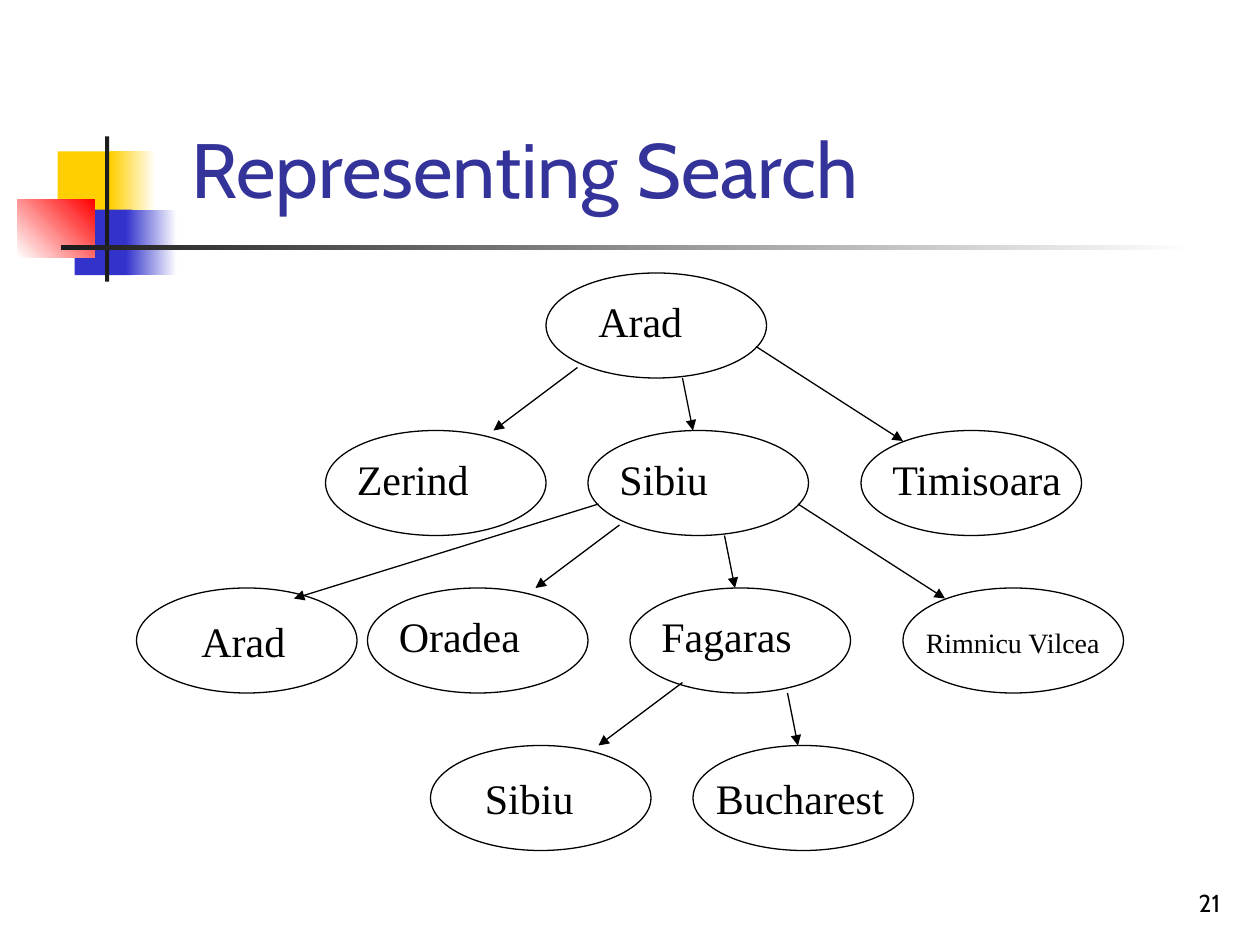
from lxml.etree import SubElement
from pptx import Presentation
from pptx.dml.color import RGBColor as Rgb
from pptx.enum.shapes import MSO_CONNECTOR as Conn, MSO_SHAPE as Kind
from pptx.enum.text import MSO_ANCHOR as Anchor, MSO_AUTO_SIZE as Auto, PP_ALIGN as Align
from pptx.oxml.ns import qn
from pptx.util import Pt

COLORS = {
    "gold": "FFCF01", "blue": "3333CC", "red": "FF0000", "dark": "1C1C1C",
    "title": "333399", "white": "FFFFFF", "black": "000000",
}
SERIF, SANS = "Times New Roman", "Cabin"
NODE_W, NODE_H, STEP = 126, 60, 90

BLOCKS = [
    (23, 8.5, 35, 37.5, "gold", None, 0),
    (53, 8.5, 26, 37.5, "gold", "white", 0),
    (32.6, 41.8, 33, 37.4, "blue", None, 0),
    (62, 41.8, 29, 37.4, "blue", "white", 0),
    (0, 36, 44, 33, "white", "red", 45),
    (50, 0, 2.4, 83, "dark", None, 0),
    (25, 62.2, 648, 2.4, "dark", "white", 0),
]

LEFT, MID = (18, 54, -30, 90), (78, 60, 84, 90)
RIGHT, FAR = (120, 42, 204, 96), (6, 42, -168, 96)

LEVELS = [
    ([(312, "Arad", 22.8, 9.6, 63, 24)], 0, []),
    ([(186, "Zerind", 10.8, 9.4, 79, 24),
      (336, "Sibiu", 10.8, 9.4, 65, 24),
      (492, "Timisoara", 10.8, 9.4, 112, 24)], 312, [LEFT, MID, RIGHT]),
    ([(78, "Arad", 30, 12, 63, 24),
      (210, "Oradea", 10.8, 9.6, 84, 24),
      (360, "Fagaras", 10.8, 9.6, 90, 24),
      (516, "Rimnicu Vilcea", 6, 18, 116, 16)], 336, [FAR, LEFT, MID, RIGHT]),
    ([(246, "Sibiu", 24, 12, 65, 24),
      (396, "Bucharest", 6, 12, 114, 24)], 372, [LEFT, MID]),
]


def tint(name):
    return Rgb.from_string(COLORS[name])


def apply(item, values):
    for name, value in values.items():
        setattr(item, name, value)


def place(item, x, y, w, h):
    apply(item, {"left": Pt(x), "top": Pt(y), "width": Pt(w), "height": Pt(h)})


def write(frame, text, size, font, color, align=Align.LEFT, **look):
    apply(frame, look)
    para = frame.paragraphs[0]
    para.alignment = align
    run = para.add_run()
    run.text = text
    apply(run.font, {"size": Pt(size), "name": font, "bold": False})
    run.font.color.rgb = tint(color)


def add_shape(shapes, kind, x, y, w, h):
    shape = shapes.add_shape(kind, Pt(x), Pt(y), Pt(w), Pt(h))
    shape.shadow.inherit = False
    return shape


def add_motif(shapes, x, y):
    for dx, dy, w, h, first, last, angle in BLOCKS:
        block = add_shape(shapes, Kind.RECTANGLE, x + dx, y + dy, w, h)
        block.line.fill.background()
        if last is None:
            block.fill.solid()
            block.fill.fore_color.rgb = tint(first)
            continue
        block.fill.gradient()
        block.fill.gradient_angle = angle
        for stop, name in zip(block.fill.gradient_stops, (first, last)):
            stop.color.rgb = tint(name)


def add_title(slide, x, y, w, h):
    title = slide.shapes.title
    place(title, x, y, w, h)
    write(title.text_frame, "Representing Search", 44, SANS, "title",
          vertical_anchor=Anchor.BOTTOM, auto_size=Auto.NONE, word_wrap=True)


def add_number(shapes, x, y, w, h):
    box = shapes.add_textbox(Pt(x), Pt(y), Pt(w), Pt(h))
    write(box.text_frame, "21", 14, SANS, "black", Align.RIGHT,
          vertical_anchor=Anchor.BOTTOM, word_wrap=True)


def ink(line):
    line.width = Pt(0.75)
    line.color.rgb = tint("black")


def add_node(shapes, x, y, text, dx, dy, w, size):
    oval = add_shape(shapes, Kind.OVAL, x, y, NODE_W, NODE_H)
    oval.fill.background()
    ink(oval.line)
    box = shapes.add_textbox(Pt(x + dx), Pt(y + dy), Pt(w), Pt(size * 1.2 + 7.2))
    write(box.text_frame, text, size, SERIF, "black",
          word_wrap=False, auto_size=Auto.SHAPE_TO_FIT_TEXT)


def add_arrow(shapes, x, y, x1, y1, x2, y2):
    arrow = shapes.add_connector(
        Conn.STRAIGHT, Pt(x + x1), Pt(y + y1), Pt(x + x2), Pt(y + y2))
    ink(arrow.line)
    props = arrow._element.spPr
    SubElement(props.find(qn("a:ln")), qn("a:tailEnd"), type="triangle")
    SubElement(props, qn("a:effectLst"))


def add_tree(shapes, x, y):
    for row, (nodes, origin, arrows) in enumerate(LEVELS):
        top = y + row * STEP
        group = shapes.add_group_shape().shapes
        for left, *label in nodes:
            add_node(group, x + left, top, *label)
        for ends in arrows:
            add_arrow(group, x + origin, top - STEP, *ends)


def main():
    deck = Presentation()
    apply(deck, {"slide_width": Pt(720), "slide_height": Pt(540)})
    slide = deck.slides.add_slide(deck.slide_layouts[5])
    add_motif(slide.shapes, 10, 78)
    add_number(slide.shapes, 554.4, 492, 150, 36)
    add_title(slide, 102, 36, 612, 90)
    add_tree(slide.shapes, 0, 156)
    deck.save("out.pptx")


if __name__ == "__main__":
    main()
